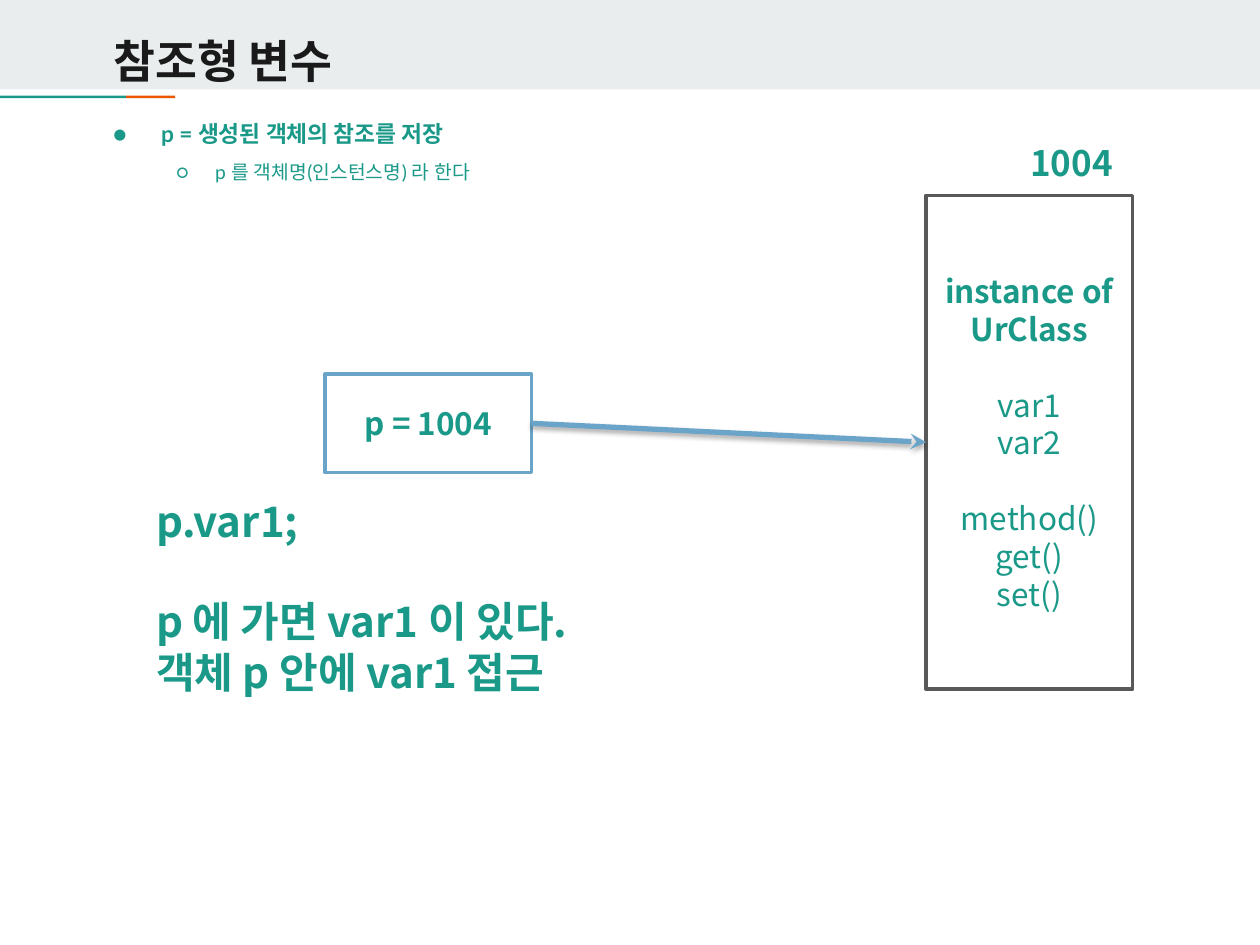
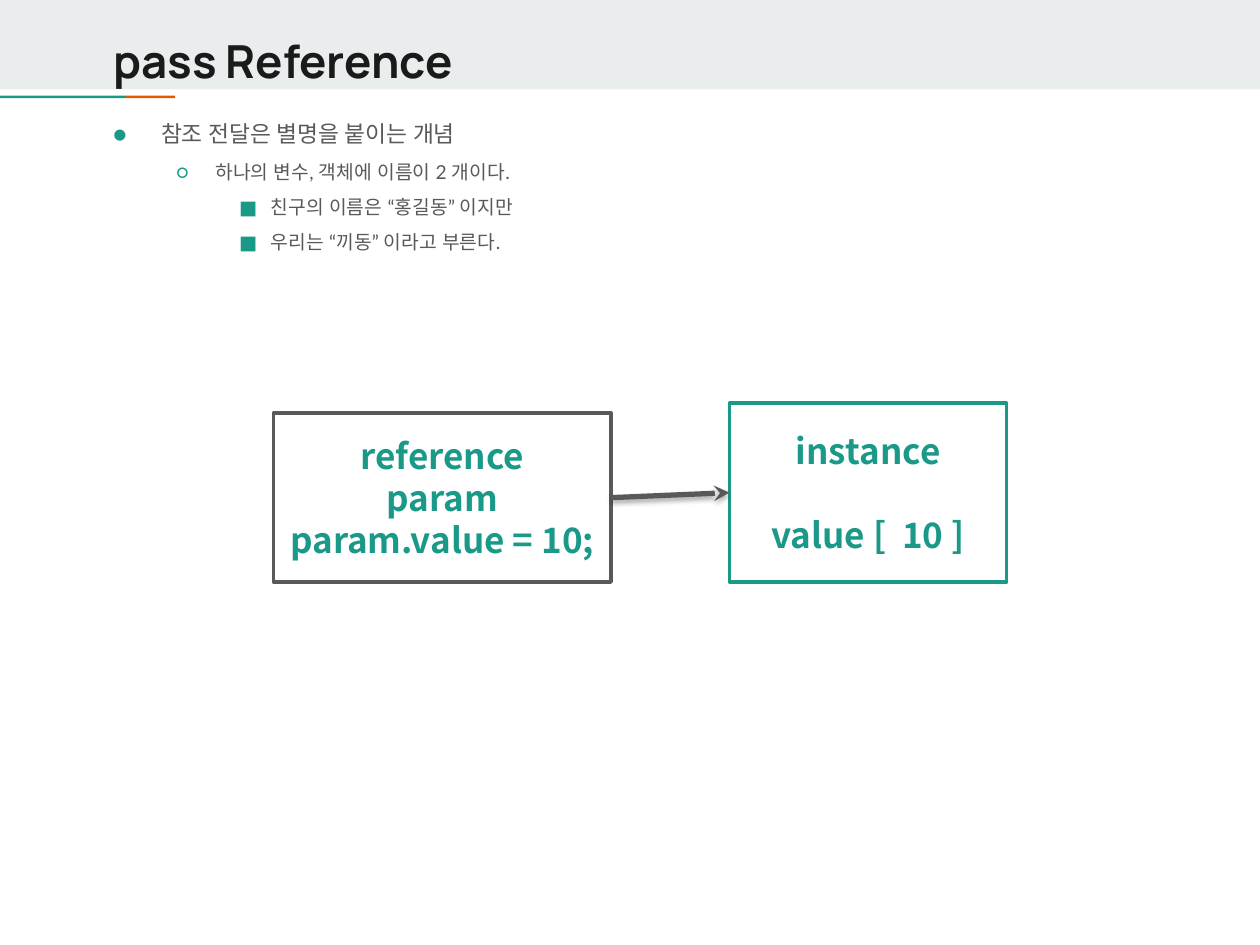
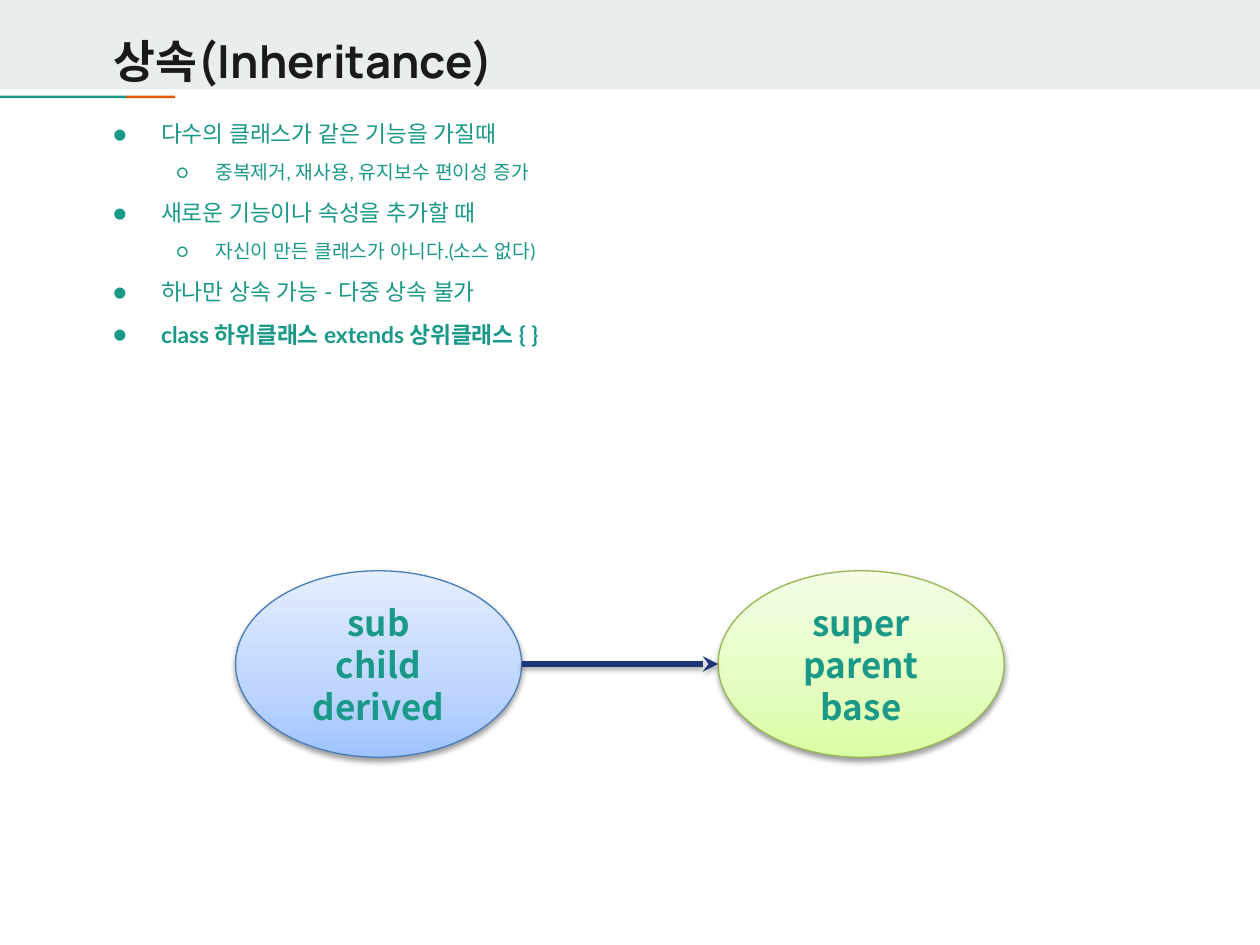
from copy import deepcopy
from dataclasses import dataclass

from lxml.etree import SubElement as Sub
from pptx import Presentation
from pptx.dml.color import RGBColor
from pptx.enum.shapes import MSO_CONNECTOR as Conn, MSO_SHAPE as Geo
from pptx.enum.text import MSO_ANCHOR as Anchor, PP_ALIGN as Align
from pptx.oxml.ns import qn
from pptx.util import Emu, Inches, Pt


@dataclass
class Theme:
    teal: str = "1A9988"
    orange: str = "EB5600"
    band: str = "E9EDEE"
    ink: str = "1A1A1A"
    gray: str = "595959"
    sky: str = "6AA4C8"
    navy: str = "1C3678"
    white: str = "FFFFFF"
    head: str = "Manrope"
    body: str = "Lato"
    draw: str = "Noto Sans CJK KR"
    title: int = 26
    big: int = 24
    mid: int = 20
    small: int = 18


T = Theme()
rgb = RGBColor.from_string
unit = Inches(0.1)  # the slide is 100 columns by 75 rows

# Bullet levels: mark, left margin, hanging indent, size, space before
levels = [
    ("●", 0.38, 0.38, 13, 6.4),
    ("○", 0.81, 0.31, 11, 5.6),
    ("■", 1.25, 0.25, 11, 4.8),
]
blue = [(0, "9FC3FF"), (0.35, "BDD5FF"), (1, "E4EEFF")]
green = [(0, "DAFEA4"), (0.35, "E3FEBF"), (1, "F4FEE6")]

# Bullets: level, text, bold
# Boxes: place, edge, gradient, size, lines; a line is text, bold, blank rows above
# Notes: place, size, alignment, lines
pages = [
    dict(
        title="참조형 변수", color=T.teal,
        bullets=[(0, "p = 생성된 객체의 참조를 저장", True),
                 (1, "p 를 객체명(인스턴스명) 라 한다", False)],
        boxes=[
            ((25.8, 29.7, 16.4, 7.8), T.sky, None, T.small,
             [("p = 1004", True, 0)]),
            ((73.5, 15.5, 16.4, 39.2), T.gray, None, T.small,
             [("instance of UrClass", True, 0),
              ("var1", False, 1), ("var2", False, 0),
              ("method()", False, 1), ("get()", False, 0),
              ("set()", False, 0)]),
        ],
        notes=[
            ((73.7, 10.7, 15.6, 4.4), T.mid, Align.RIGHT,
             [("1004", True, 0)]),
            ((11.4, 38.8, 44.1, 17.2), T.big, Align.LEFT,
             [("p.var1;", True, 0), ("p 에 가면 var1 이 있다.", True, 1),
              ("객체 p 안에 var1 접근", True, 0)]),
        ],
        arrow=T.sky,
    ),
    dict(
        title="pass Reference", color=T.gray,
        bullets=[(0, "참조 전달은 별명을 붙이는 개념", False),
                 (1, "하나의 변수, 객체에 이름이 2 개이다.", False),
                 (2, "친구의 이름은 “홍길동” 이지만", False),
                 (2, "우리는 “끼동” 이라고 부른다.", False)],
        boxes=[
            ((21.7, 32.8, 26.8, 13.4), T.gray, None, T.mid,
             [("reference", True, 0), ("param", True, 0),
              ("param.value = 10;", True, 0)]),
            ((57.9, 32, 22, 14.2), T.teal, None, T.mid,
             [("instance", True, 0), ("value [  10 ]", True, 1)]),
        ],
        notes=[], arrow=T.gray,
    ),
    dict(
        title="상속(Inheritance)", color=T.teal,
        bullets=[(0, "다수의 클래스가 같은 기능을 가질때", False),
                 (1, "중복제거, 재사용, 유지보수 편이성 증가", False),
                 (0, "새로운 기능이나 속성을 추가할 때", False),
                 (1, "자신이 만든 클래스가 아니다.(소스 없다)", False),
                 (0, "하나만 상속 가능 - 다중 상속 불가", False),
                 (0, "class 하위클래스 extends 상위클래스 { }", True)],
        boxes=[
            ((18.7, 45.3, 22.7, 14.8), "4A7DBA", blue, T.mid,
             [("sub", True, 0), ("child", True, 0), ("derived", True, 0)]),
            ((57, 45.3, 22.7, 14.8), "97B853", green, T.mid,
             [("super", True, 0), ("parent", True, 0), ("base", True, 0)]),
        ],
        notes=[], arrow=T.navy,
    ),
]


def write(shape, lines, size, font, color, align, anchor):
    """Fill a shape with lines of (text, bold, blank rows above)."""
    frame = shape.text_frame
    frame.word_wrap = True
    frame.vertical_anchor = anchor
    for i, (text, bold, rows) in enumerate(lines):
        para = frame.paragraphs[0] if i == 0 else frame.add_paragraph()
        para.alignment = align
        if font == T.draw:
            para.line_spacing = Pt(1.2 * size)
            para.space_before = Pt(1.2 * size * rows)
        run = para.add_run()
        run.text = text
        run.font.size = Pt(size)
        run.font.bold = bold
        run.font.name = font
        run.font.color.rgb = rgb(color)
        Sub(run.font._element, qn("a:ea"), typeface=font)


def shade(effects, alpha, dist):
    """Add a soft shadow that falls straight down."""
    drop = Sub(effects, qn("a:outerShdw"), blurRad=str(Pt(3.1)),
               dist=str(Pt(dist)), dir="5400000", rotWithShape="0")
    tint = Sub(drop, qn("a:srgbClr"), val="000000")
    Sub(tint, qn("a:alpha"), val=str(alpha * 1000))


deck = Presentation()
deck.slide_width, deck.slide_height = Inches(10), Inches(7.5)

for page in pages:
    slide = deck.slides.add_slide(deck.slide_layouts[6])
    shapes = slide.shapes

    # Header band and accent line
    for place, color in [((0, 0, 100, 7.1), T.band),
                         ((0, 7.6, 10, 0.2), T.teal),
                         ((10, 7.6, 3.9, 0.2), T.orange)]:
        bar = shapes.add_shape(Geo.RECTANGLE, *[Emu(int(n * unit)) for n in place])
        bar.shadow.inherit = False
        bar.fill.solid()
        bar.fill.fore_color.rgb = rgb(color)
        bar.line.fill.background()

    # Title
    head = shapes.add_textbox(*[Emu(int(n * unit)) for n in (8, 0.9, 84.1, 7.8)])
    write(head, [(page["title"], True, 0)], T.title, T.head, T.ink,
          Align.LEFT, Anchor.MIDDLE)

    # Bullets
    body = shapes.add_textbox(*[Emu(int(n * unit)) for n in (8, 8.7, 84.1, 54.6)])
    write(body, [(text, bold, 0) for _, text, bold in page["bullets"]],
          levels[0][3], T.body, page["color"], Align.LEFT, Anchor.TOP)
    for i, para in enumerate(body.text_frame.paragraphs):
        level = page["bullets"][i][0]
        mark, left, hang, size, gap = levels[level]
        para.level = level
        para.line_spacing = 1.15
        para.space_before = Pt(gap if i else 0)
        para.runs[0].font.size = Pt(size)
        props = para._p.get_or_add_pPr()
        props.set("marL", str(Inches(left)))
        props.set("indent", str(-Inches(hang)))
        Sub(Sub(props, qn("a:buClr")), qn("a:srgbClr"), val=T.teal)
        Sub(props, qn("a:buFont"), typeface=T.body)
        Sub(props, qn("a:buChar"), char=mark)

    # Boxes and ovals
    ends = []
    for place, edge, blend, size, lines in page["boxes"]:
        geo = Geo.OVAL if blend else Geo.RECTANGLE
        box = shapes.add_shape(geo, *[Emu(int(n * unit)) for n in place])
        box.shadow.inherit = False
        box.line.color.rgb = rgb(edge)
        box.line.width = Pt(0.75 if blend else 2)
        if blend:
            box.fill.gradient()
            box.fill.gradient_angle = 90
            stops = box._element.spPr.find(".//" + qn("a:gsLst"))
            stops.append(deepcopy(stops[-1]))
            for stop, (share, color) in zip(box.fill.gradient_stops, blend):
                stop.position = share
                stop.color.rgb = rgb(color)
            shade(box._element.spPr.find(qn("a:effectLst")), 38, 1.6)
        else:
            box.fill.solid()
            box.fill.fore_color.rgb = rgb(T.white)
        write(box, lines, size, T.draw, T.teal, Align.CENTER, Anchor.MIDDLE)
        ends.append(box)

    # Arrow from the first box to the second
    start, goal = ends
    link = shapes.add_connector(
        Conn.STRAIGHT, start.left + start.width, start.top + start.height // 2,
        goal.left, goal.top + goal.height // 2)
    if start.auto_shape_type == Geo.RECTANGLE:
        link.begin_connect(start, 3)
        link.end_connect(goal, 1)
    link.line.color.rgb = rgb(page["arrow"])
    link.line.width = Pt(3)
    Sub(link.line._get_or_add_ln(), qn("a:tailEnd"), type="stealth")
    shade(Sub(link._element.spPr, qn("a:effectLst")), 35, 1.8)

    # Notes beside the boxes
    for place, size, align, lines in page["notes"]:
        note = shapes.add_textbox(*[Emu(int(n * unit)) for n in place])
        write(note, lines, size, T.draw, T.teal, align, Anchor.TOP)

deck.save("out.pptx")
